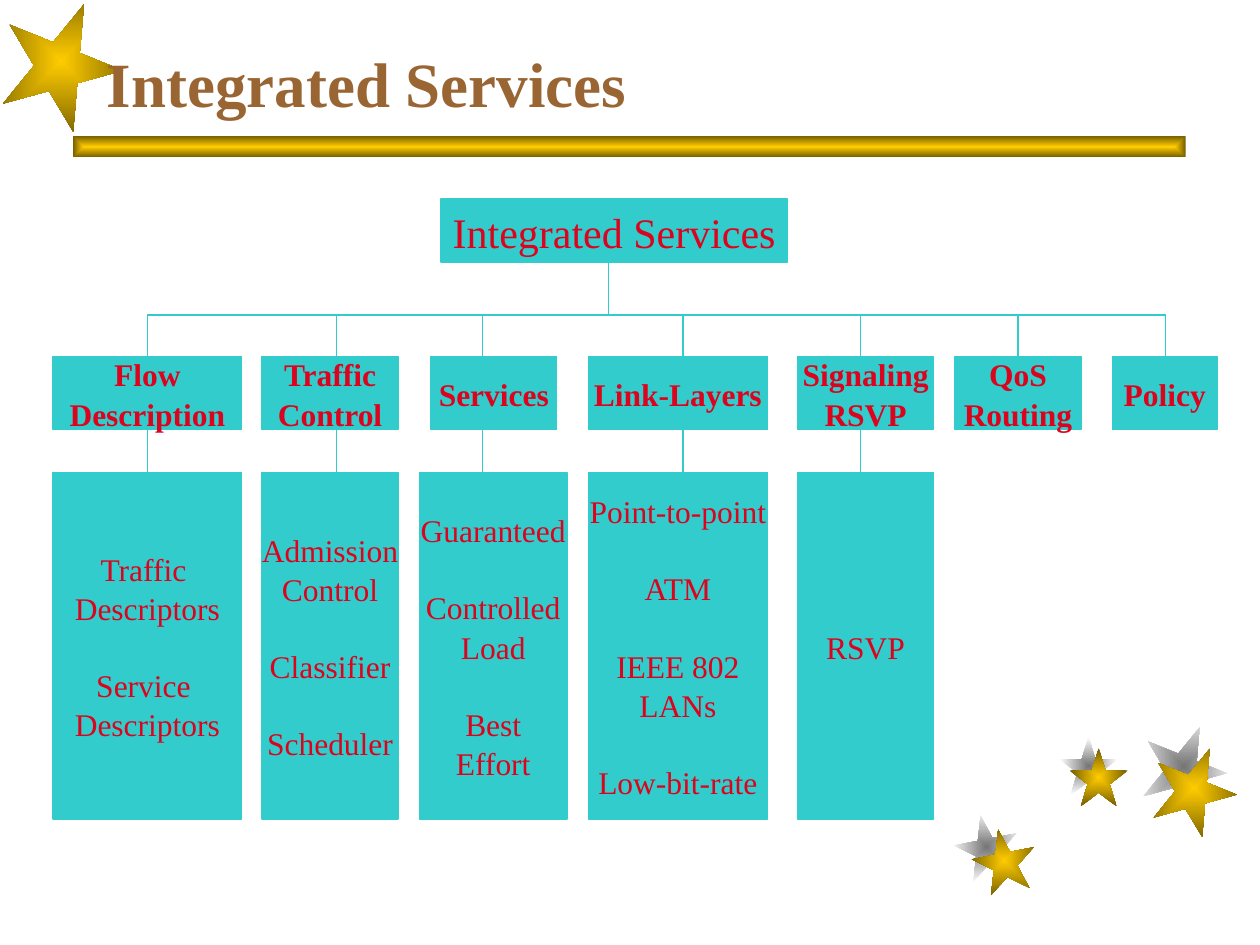
from lxml import etree
from pptx import Presentation
from pptx import util as u
from pptx.dml.color import RGBColor
from pptx.enum import shapes, text
from pptx.oxml import ns

TEAL = RGBColor(0x33, 0xCC, 0xCC)
RED = RGBColor(0xDB, 0x03, 0x1D)
BROWN = RGBColor(0x99, 0x66, 0x33)
GOLD = RGBColor(0xFF, 0xCC, 0x00)
DARK_GOLD = RGBColor(0x75, 0x5E, 0x00)
GREY = RGBColor(0x75, 0x75, 0x75)
WHITE = RGBColor(0xFF, 0xFF, 0xFF)

FONT = "Times New Roman"
LINE_SPACING = 1.04
TOPIC_GAP = u.Pt(21.6)

BUS_Y, HEAD_Y, HEAD_H, DETAIL_Y, DETAIL_H = 2.5, 2.83, 0.58, 3.75, 2.75

BRANCHES = [
    (0.42, 1.5, 1.17, ["Flow", "Description"]),
    (2.08, 1.08, 2.67, ["Traffic", "Control"]),
    (3.42, 1, 3.83, ["Services"]),
    (4.67, 1.42, 5.42, ["Link-Layers"]),
    (6.33, 1.08, 6.83, ["Signaling", "RSVP"]),
    (7.58, 1, 8.08, ["QoS", "Routing"]),
    (8.83, 0.83, 9.25, ["Policy"]),
]

DETAILS = [
    (0.42, 1.5, [["Traffic ", "Descriptors"], ["Service ", "Descriptors"]]),
    (2.08, 1.08, [["Admission", "Control"], ["Classifier"], ["Scheduler"]]),
    (3.33, 1.17, [["Guaranteed"], ["Controlled", "Load"], ["Best", "Effort"]]),
    (4.67, 1.42, [["Point-to-point"], ["ATM"], ["IEEE 802", "LANs"], ["Low-bit-rate"]]),
    (6.33, 1.08, [["RSVP"]]),
]

STAR_SHADOWS = [(7.58, 6.47, 0.5, -11), (8.41, 5.85, 0.46, 0), (9.06, 5.75, 0.67, 22)]
GOLD_STARS = [(7.72, 6.58, 0.5, -11), (8.49, 5.94, 0.46, 0), (9.14, 5.92, 0.67, 22),
              (0, 0, 0.97, 22)]


class ChartSlide:
    def __init__(self, slide):
        self.slide = slide

    def shape(self, kind, x, y, w, h):
        item = self.slide.shapes.add_shape(
            kind, u.Inches(x), u.Inches(y), u.Inches(w), u.Inches(h))
        item.shadow.inherit = False
        return item

    def ornament(self, kind, x, y, w, h, inner, outer, turn=0):
        item = self.shape(kind, x, y, w, h)
        item.rotation = turn
        item.line.fill.background()
        item.fill.gradient()
        for stop, color in zip(item.fill.gradient_stops, (inner, outer)):
            stop.color.rgb = color
        gradient = item._element.spPr.find(ns.qn("a:gradFill"))
        linear = gradient.find(ns.qn("a:lin"))
        radial = etree.Element(ns.qn("a:path"), {"path": "rect"})
        etree.SubElement(radial, ns.qn("a:fillToRect"),
                         dict.fromkeys("ltrb", "50000"))
        gradient.replace(linear, radial)

    def set_topics(self, frame, topics, size, color, bold, align):
        frame.text = "\n".join(line for topic in topics for line in topic)
        starts = [index == 0 for topic in topics for index in range(len(topic))]
        for number, (paragraph, starts_topic) in enumerate(zip(frame.paragraphs, starts)):
            paragraph.alignment = align
            paragraph.line_spacing = LINE_SPACING
            if starts_topic and number:
                paragraph.space_before = TOPIC_GAP
            for run in paragraph.runs:
                run.font.name = FONT
                run.font.size = u.Pt(size)
                run.font.bold = bold
                run.font.color.rgb = color

    def title(self, x, y, w, h, words):
        heading = self.slide.shapes.add_textbox(
            u.Inches(x), u.Inches(y), u.Inches(w), u.Inches(h))
        heading.text_frame.word_wrap = True
        heading.text_frame.vertical_anchor = text.MSO_ANCHOR.BOTTOM
        self.set_topics(heading.text_frame, [[words]], 36, BROWN, True, text.PP_ALIGN.LEFT)

    def box(self, x, y, w, h, topics, size=18, bold=False):
        item = self.shape(shapes.MSO_SHAPE.RECTANGLE, x, y, w, h)
        item.fill.solid()
        item.fill.fore_color.rgb = TEAL
        item.line.color.rgb = TEAL
        item.line.width = u.Pt(0.75)
        item.text_frame.word_wrap = False
        item.text_frame.vertical_anchor = text.MSO_ANCHOR.MIDDLE
        self.set_topics(item.text_frame, topics, size, RED, bold, text.PP_ALIGN.CENTER)

    def line(self, x1, y1, x2, y2):
        item = self.slide.shapes.add_connector(
            shapes.MSO_CONNECTOR.STRAIGHT,
            u.Inches(x1), u.Inches(y1), u.Inches(x2), u.Inches(y2))
        item.line.color.rgb = TEAL
        item.line.width = u.Pt(0.75)
        etree.SubElement(item._element.spPr, ns.qn("a:effectLst"))


def main():
    deck = Presentation()
    deck.slide_width, deck.slide_height = u.Inches(10), u.Inches(7.5)
    chart = ChartSlide(deck.slides.add_slide(deck.slide_layouts[6]))

    star = shapes.MSO_SHAPE.STAR_5_POINT
    for x, y, size, turn in STAR_SHADOWS:
        chart.ornament(star, x, y, size, size, GREY, WHITE, turn)
    chart.ornament(shapes.MSO_SHAPE.RECTANGLE, 0.58, 1.08, 8.83, 0.17, GOLD, DARK_GOLD)
    for x, y, size, turn in GOLD_STARS:
        chart.ornament(star, x, y, size, size, GOLD, DARK_GOLD, turn)
    chart.title(0.75, 0.25, 8.5, 0.75, "Integrated Services")

    chart.box(3.5, 1.58, 2.75, 0.5, [["Integrated Services"]], size=24)
    chart.line(4.83, 2.08, 4.83, BUS_Y)
    chart.line(BRANCHES[0][2], BUS_Y, BRANCHES[-1][2], BUS_Y)
    for x, w, stem, heading in BRANCHES:
        chart.box(x, HEAD_Y, w, HEAD_H, [heading], bold=True)
        chart.line(stem, BUS_Y, stem, HEAD_Y)
    for (x, w, topics), branch in zip(DETAILS, BRANCHES):
        stem = branch[2]
        chart.line(stem, HEAD_Y + HEAD_H, stem, DETAIL_Y)
        chart.box(x, DETAIL_Y, w, DETAIL_H, topics)

    deck.save("out.pptx")


if __name__ == "__main__":
    main()
